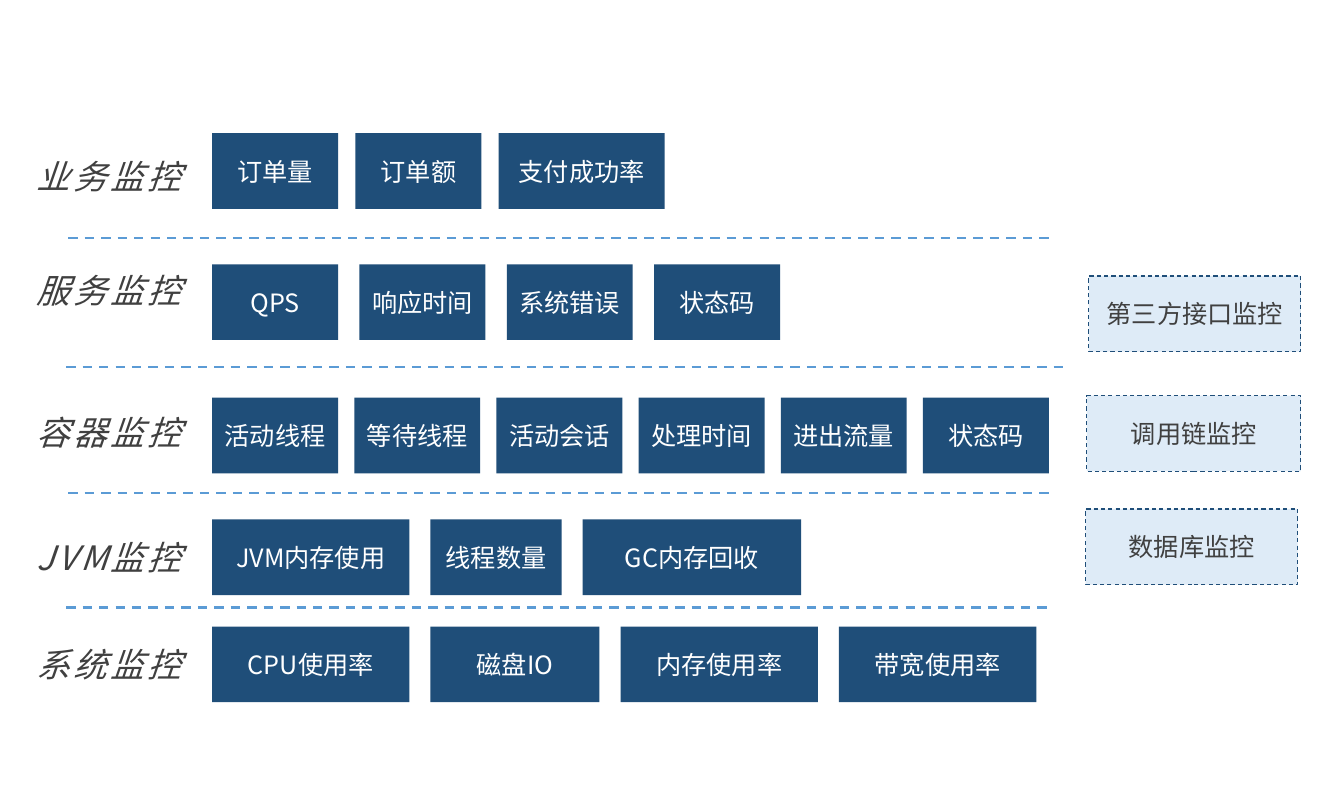
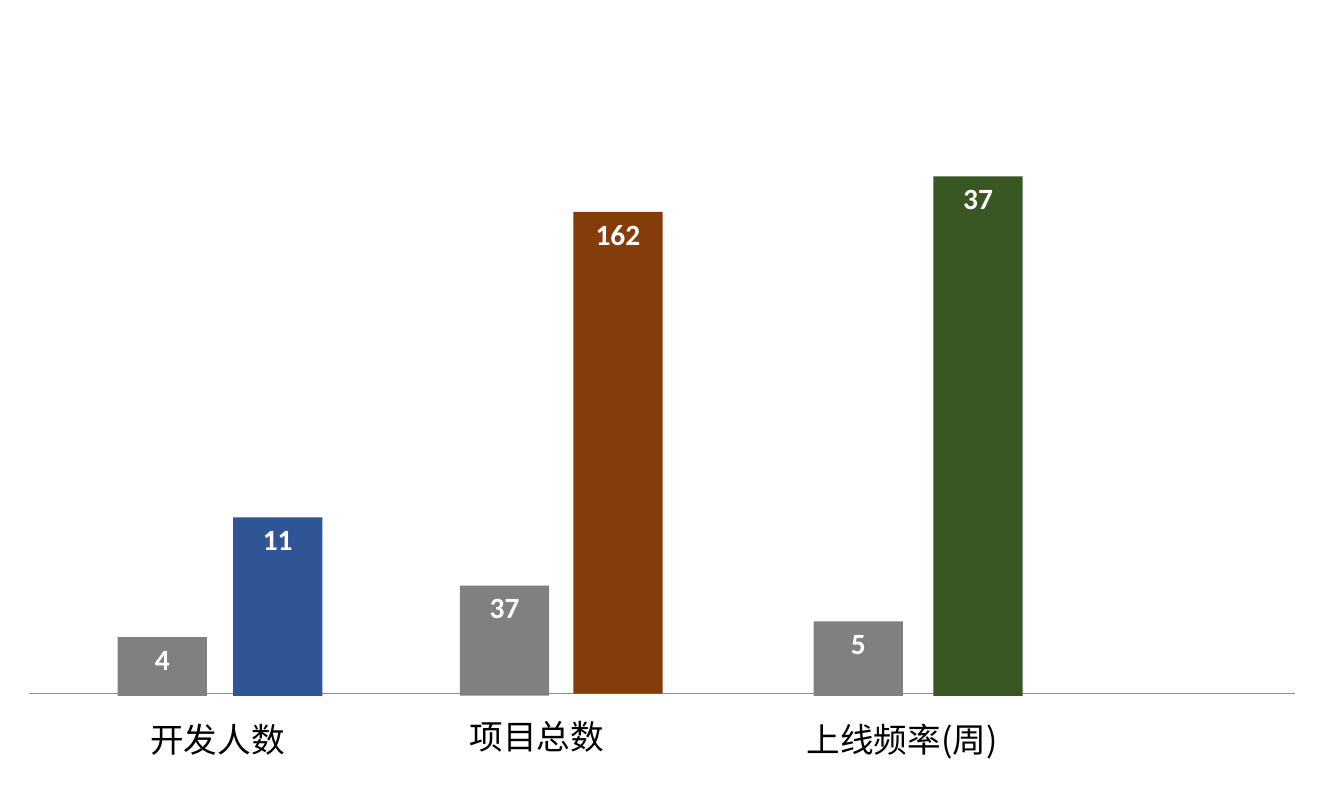
from pptx import Presentation
from pptx.dml.color import RGBColor
from pptx.enum.dml import MSO_LINE
from pptx.enum.shapes import MSO_CONNECTOR, MSO_SHAPE
from pptx.enum.text import MSO_ANCHOR, MSO_AUTO_SIZE, PP_ALIGN
from pptx.oxml.ns import qn
from pptx.util import Emu, Pt
from lxml import etree

RECTANGLE = MSO_SHAPE.RECTANGLE
STRAIGHT = MSO_CONNECTOR.STRAIGHT
DASH = MSO_LINE.DASH
TOP, MIDDLE = MSO_ANCHOR.TOP, MSO_ANCHOR.MIDDLE
CENTER = PP_ALIGN.CENTER
GROW = MSO_AUTO_SIZE.SHAPE_TO_FIT_TEXT

# Shared style
CJK_FONT = "Noto Sans CJK SC"
NUMBER_FONT = "Calibri"
WHITE = RGBColor(0xFF, 0xFF, 0xFF)
BLACK = RGBColor(0x00, 0x00, 0x00)
DARK_GRAY = RGBColor(0x40, 0x40, 0x40)
GRAY = RGBColor(0x80, 0x80, 0x80)
NAVY = RGBColor(0x1F, 0x4E, 0x79)
PALE_BLUE = RGBColor(0xDE, 0xEB, 0xF7)
LINE_BLUE = RGBColor(0x5B, 0x9B, 0xD5)
BLUE = RGBColor(0x2F, 0x55, 0x97)
BROWN = RGBColor(0x84, 0x3C, 0x0B)
GREEN = RGBColor(0x38, 0x57, 0x23)

# Lengths in px, 72 to the inch
SCALE = 12700
PAGE_WIDTH, PAGE_HEIGHT = 1280, 768
LABEL_HEIGHT = 46
BOX_HEIGHT = 72
BAR_WIDTH = 85
LEFT_MARGIN = 28
ROW_INDENT = 174

# Label, label top, label width, box top, row end, (text, width) of each box
LAYERS = [
    ("业务监控", 145, 156, 127, 633,
     [("订单量", 120), ("订单额", 120), ("支付成功率", 158)]),
    ("服务监控", 254, 156, 252, 743,
     [("QPS", 120), ("响应时间", 120), ("系统错误", 120), ("状态码", 120)]),
    ("容器监控", 389, 156, 379, 999,
     [("活动线程", 120), ("等待线程", 120), ("活动会话", 120),
      ("处理时间", 120), ("进出流量", 120), ("状态码", 120)]),
    ("JVM监控", 508, 161, 495, 763,
     [("JVM内存使用", 188), ("线程数量", 125), ("GC内存回收", 208)]),
    ("系统监控", 610, 156, 597, 987,
     [("CPU使用率", 188), ("磁盘IO", 161), ("内存使用率", 188),
      ("带宽使用率", 188)]),
]

# Left, right, height on the page
DIVIDERS = [(65, 999, 227), (63, 1014, 350), (65, 999, 470), (63, 999, 579)]

# Text, left, top, width
SIDE_BOXES = [
    ("第三方接口监控", 1037, 263, 202),
    ("调用链监控", 1035, 377, 204),
    ("数据库监控", 1034, 485, 202),
]

# Label, left, top, width, wraps, bars as (value, left, top, bottom, colour)
BAR_GROUPS = [
    ("开发人数", 136, 681, 144, False,
     [("4", 112, 607, 663, GRAY), ("11", 222, 493, 663, BLUE)]),
    ("项目总数", 440, 679, 144, False,
     [("37", 438, 558, 663, GRAY), ("162", 546, 202, 661, BROWN)]),
    ("上线频率(周)", 761, 681, 198, True,
     [("5", 775, 592, 663, GRAY), ("37", 889, 168, 663, GREEN)]),
]


def px(count):
    return Emu(round(count * SCALE))


def write(frame, text, size, color, font=CJK_FONT):
    """Set the text of a frame and return its formatted run."""
    frame.text = text
    span = frame.paragraphs[0].runs[0]
    span.font.size = Pt(size)
    span.font.name = font
    span.font.color.rgb = color
    latin = span.font._element.find(qn("a:latin"))
    east_asian = etree.Element(qn("a:ea"), typeface=font)
    latin.addnext(east_asian)
    return span


def add_block(page, left, top, width, height, fill):
    box = page.shapes.add_shape(RECTANGLE, px(left), px(top), px(width), px(height))
    box.shadow.inherit = False
    box.fill.solid()
    box.fill.fore_color.rgb = fill
    box.line.fill.background()
    box.text_frame.word_wrap = True
    return box


def add_box(page, text, left, top, width, fill=NAVY, color=WHITE):
    box = add_block(page, left, top, width, BOX_HEIGHT, fill)
    box.text_frame.vertical_anchor = MIDDLE
    write(box.text_frame, text, 24, color)
    box.text_frame.paragraphs[0].alignment = CENTER
    return box


def add_label(page, text, left, top, width, color, wraps=False):
    box = page.shapes.add_textbox(px(left), px(top), px(width), px(LABEL_HEIGHT))
    box.text_frame.word_wrap = wraps
    box.text_frame.auto_size = GROW
    return write(box.text_frame, text, 32, color)


def add_rule(page, left, right, height, weight):
    rule = page.shapes.add_connector(STRAIGHT, px(left), px(height), px(right), px(height))
    rule.line.color.rgb = LINE_BLUE
    rule.line.width = Pt(weight)
    etree.SubElement(rule._element.spPr, qn("a:effectLst"))
    return rule


def add_layer(page, left, label, label_top, label_width, box_top, row_end, boxes):
    """A monitoring layer: its name, then a row of evenly spaced boxes."""
    span = add_label(page, label, left, label_top, label_width, DARK_GRAY)
    span.font.italic = True
    span.font._element.set("spc", "300")
    box_left = left + ROW_INDENT
    filled = sum(width for _, width in boxes)
    gap = (row_end - box_left - filled) / (len(boxes) - 1)
    for text, width in boxes:
        add_box(page, text, box_left, box_top, width)
        box_left += width + gap


def add_bar(page, value, left, top, bottom, color):
    bar = add_block(page, left, top, BAR_WIDTH, bottom - top, color)
    bar.text_frame.vertical_anchor = TOP
    write(bar.text_frame, value, 28, WHITE, NUMBER_FONT).font.bold = True
    bar.text_frame.paragraphs[0].alignment = CENTER


def build_monitoring(page):
    # Layers and the dashed lines between them
    for layer in LAYERS:
        add_layer(page, LEFT_MARGIN, *layer)
    for left, right, height in DIVIDERS:
        add_rule(page, left, right, height, 2.25).line.dash_style = DASH
    # Cross-layer monitoring on the right
    for text, left, top, width in SIDE_BOXES:
        box = add_box(page, text, left, top, width, PALE_BLUE, DARK_GRAY)
        box.line.color.rgb = NAVY
        box.line.width = Pt(1)
        box.line.dash_style = DASH


def build_growth(page):
    # Baseline, then each pair of bars with its label
    add_rule(page, LEFT_MARGIN, 1233, 661, 0.5)
    for label, left, top, width, wraps, bars in BAR_GROUPS:
        for bar in bars:
            add_bar(page, *bar)
        add_label(page, label, left, top, width, BLACK, wraps)


def main():
    deck = Presentation()
    deck.slide_width, deck.slide_height = px(PAGE_WIDTH), px(PAGE_HEIGHT)
    blank = deck.slide_layouts[6]
    for build in (build_monitoring, build_growth):
        build(deck.slides.add_slide(blank))
    deck.save("out.pptx")


if __name__ == "__main__":
    main()
